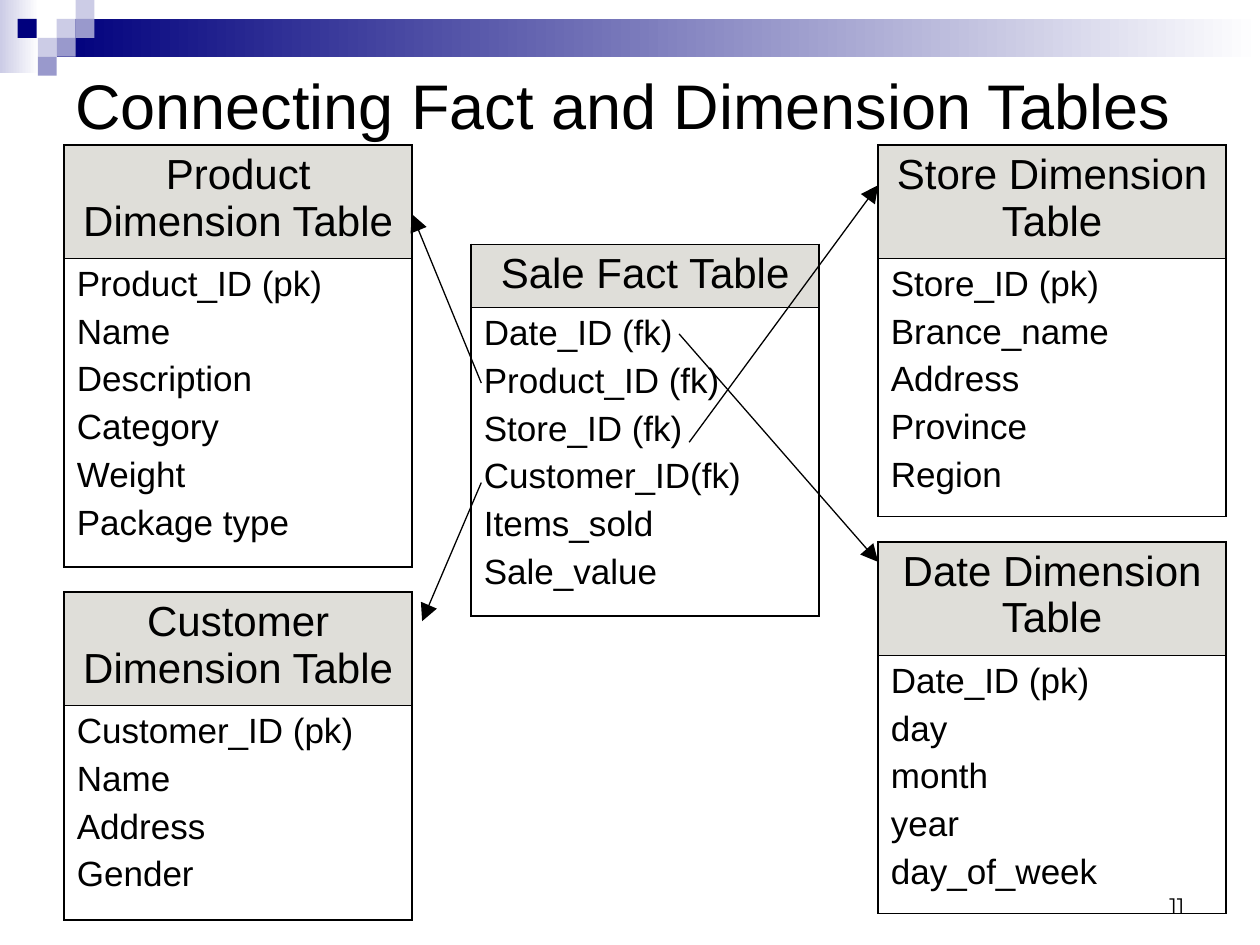
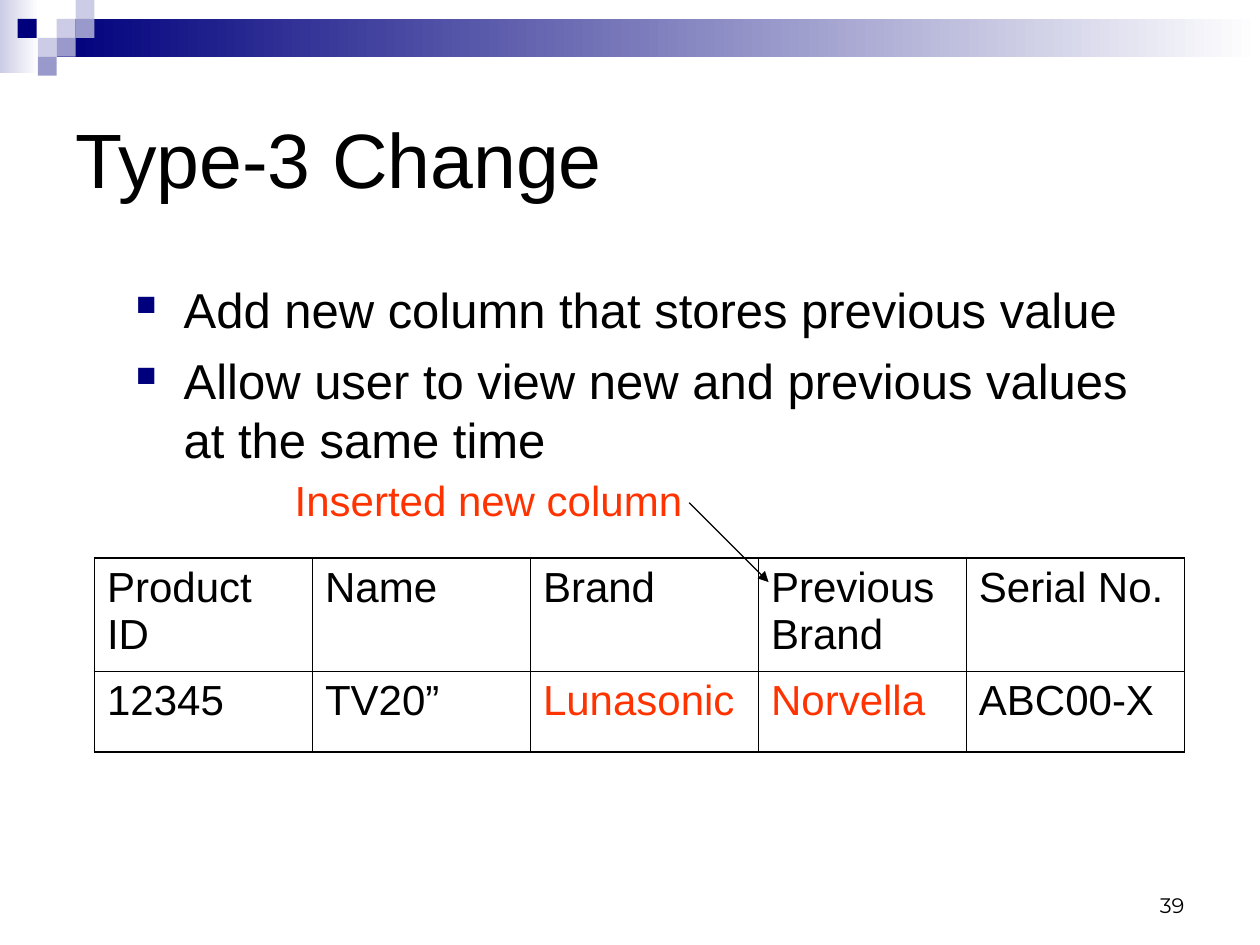
from lxml.etree import SubElement
from pptx import Presentation
from pptx.dml.color import RGBColor
from pptx.enum.shapes import MSO_CONNECTOR as Connector, MSO_SHAPE as Shape
from pptx.enum.text import MSO_ANCHOR as Anchor, PP_ALIGN as Align
from pptx.oxml.ns import qn
from pptx.util import Inches, Pt

COLORS = {
    "ink": "000000",
    "paper": "FFFFFF",
    "navy": "00007D",
    "lilac": "9999CC",
    "mist": "CCCCE6",
    "header": "DFDED9",
    "accent": "FF3300",
}
COLUMNS, ROWS = 100, 75
SQUARE = 1.5
THICK, THIN = 1.08, 0.45

# Small corner squares: column, row, colour
CORNER_SQUARES = [
    (4.5, 1.5, "mist"),
    (6, 0, "mist"),
    (6, 1.5, "lilac"),
    (3, 3, "mist"),
    (1.4, 1.5, "navy"),
    (4.5, 3, "lilac"),
    (3, 4.5, "lilac"),
]

# Entity tables: column, row, heading, header height, fields height, fields
ENTITY_WIDTH = 27.6
ENTITIES = [
    (37.4, 19.4, "Sale Fact Table", 5, 24.5,
     "Date_ID (fk)\nProduct_ID (fk)\nStore_ID (fk)\nCustomer_ID(fk)\nItems_sold\nSale_value"),
    (5.1, 11.5, "Product Dimension Table", 9, 24.5,
     "Product_ID (pk)\nName\nDescription\nCategory\nWeight\nPackage type"),
    (5.1, 47, "Customer Dimension Table", 9, 17,
     "Customer_ID (pk)\nName\nAddress\nGender"),
    (69.7, 11.5, "Store Dimension Table", 9, 20.5,
     "Store_ID (pk)\nBrance_name\nAddress\nProvince\nRegion"),
    (69.7, 43, "Date Dimension Table", 9, 20.5,
     "Date_ID (pk)\nday\nmonth\nyear\nday_of_week"),
]
KEY_ARROWS = [
    ((53.9, 26.5), (69.7, 44.6)),
    ((38.2, 30.4), (32.7, 17)),
    ((38.2, 38.3), (33.5, 49.3)),
    ((54.7, 35.1), (69.7, 14.7)),
]


def rgb(name):
    return RGBColor.from_string(COLORS[name])


def add_bullet(para):
    """Give the paragraph a navy square bullet with a hanging indent."""
    props = para._p.get_or_add_pPr()
    indent = Inches(0.38)
    props.set("marL", str(indent))
    props.set("indent", str(-indent))
    color = SubElement(props, qn("a:buClr"))
    SubElement(color, qn("a:srgbClr"), val=COLORS["navy"])
    SubElement(props, qn("a:buSzPct"), val="57000")
    SubElement(props, qn("a:buChar"), char="■")


def write(frame, text, size=24, color="ink", font="Arial", align=Align.LEFT,
          gap=0, bullet=False):
    """Fill a text frame, one paragraph per line, with gap points between them."""
    for index, line in enumerate(text.split("\n")):
        para = frame.add_paragraph() if index else frame.paragraphs[0]
        if bullet:
            add_bullet(para)
        para.alignment = align
        para.space_before = Pt(gap if index else 0)
        span = para.add_run()
        span.text = line
        span.font.size = Pt(size)
        span.font.name = font
        span.font.color.rgb = rgb(color)


def set_borders(cell, **widths):
    """Draw the cell's edges; widths maps L, R, T and B to points."""
    props = cell._tc.get_or_add_tcPr()
    for side in "LRTB":
        line = SubElement(props, qn(f"a:ln{side}"), w=str(Pt(widths[side])))
        fill = SubElement(line, qn("a:solidFill"))
        SubElement(fill, qn("a:srgbClr"), val=COLORS["ink"])


class Deck:
    """Holds the shared style and the slide being built."""

    def __init__(self):
        self.file = Presentation()
        self.file.slide_width, self.file.slide_height = Inches(10), Inches(7.5)
        self.page = None

    def col(self, count):
        return round(self.file.slide_width * count / COLUMNS)

    def row(self, count):
        return round(self.file.slide_height * count / ROWS)

    def area(self, left, top, width, height):
        return self.col(left), self.row(top), self.col(width), self.row(height)

    def new_page(self, title, title_area, title_size, number):
        self.page = self.file.slides.add_slide(self.file.slide_layouts[6])
        self.band()
        self.text(number, (71.7, 68.3, 23.3, 5), anchor=Anchor.BOTTOM,
                  size=12, font="Montserrat", align=Align.RIGHT)
        self.text(title, title_area, anchor=Anchor.MIDDLE, size=title_size)

    def band(self):
        group = self.page.shapes.add_group_shape()
        self.block(group, (0, 0, 3.1, 5.8), "mist", fade_to="paper")
        self.block(group, (4.5, 1.5, 95.5, 3), "navy", fade_to="paper")
        for left, top, color in CORNER_SQUARES:
            self.block(group, (left, top, SQUARE, SQUARE), color)

    def block(self, group, area, color, fade_to=None):
        box = group.shapes.add_shape(Shape.RECTANGLE, *self.area(*area))
        box.shadow.inherit = False
        box.line.fill.background()
        if fade_to:
            box.fill.gradient()
            box.fill.gradient_angle = 0
            for stop, name in zip(box.fill.gradient_stops, (color, fade_to)):
                stop.color.rgb = rgb(name)
        else:
            box.fill.solid()
            box.fill.fore_color.rgb = rgb(color)

    def text(self, text, area, anchor=Anchor.TOP, **style):
        frame = self.page.shapes.add_textbox(*self.area(*area)).text_frame
        frame.word_wrap = True
        frame.vertical_anchor = anchor
        write(frame, text, **style)

    def table(self, left, top, widths, heights, cells):
        """Add a table; cells holds rows of (text, fill, style)."""
        area = self.area(left, top, sum(widths), sum(heights))
        table = self.page.shapes.add_table(len(heights), len(widths), *area).table
        table.first_row = table.horz_banding = False
        for column, width in zip(table.columns, widths):
            column.width = self.col(width)
        for line, height in zip(table.rows, heights):
            line.height = self.row(height)
        last_row, last_col = len(heights) - 1, len(widths) - 1
        for r, line in enumerate(cells):
            for c, (text, fill, style) in enumerate(line):
                cell = table.cell(r, c)
                set_borders(cell,
                            L=THIN if c else THICK,
                            R=THIN if c < last_col else THICK,
                            T=THIN if r else THICK,
                            B=THIN if r < last_row else THICK)
                if fill:
                    cell.fill.solid()
                    cell.fill.fore_color.rgb = rgb(fill)
                else:
                    cell.fill.background()
                write(cell.text_frame, text, **style)

    def arrow(self, start, end, head="med"):
        line = self.page.shapes.add_connector(
            Connector.STRAIGHT, self.col(start[0]), self.row(start[1]),
            self.col(end[0]), self.row(end[1]))
        line.line.color.rgb = rgb("ink")
        line.line.width = Pt(0.75)
        SubElement(line.line._get_or_add_ln(), qn("a:tailEnd"),
                   type="triangle", w=head, len=head)
        SubElement(line._element.spPr, qn("a:effectLst"))


def build_star_schema(deck):
    deck.new_page("Connecting Fact and Dimension Tables", (5, 3.6, 90, 9.4), 36, "11")
    for left, top, heading, header_height, fields_height, fields in ENTITIES:
        deck.table(left, top, [ENTITY_WIDTH], [header_height, fields_height], [
            [(heading, "header", {"align": Align.CENTER})],
            [(fields, None, {"size": 20, "gap": 5})],
        ])
    for start, end in KEY_ARROWS:
        deck.arrow(start, end, head="lg")


def build_type_3_change(deck):
    deck.new_page("Type-3 Change", (5, 5, 90, 15), 44, "39")
    deck.text("Add new column that stores previous value\n"
              "Allow user to view new and previous values at the same time",
              (9.8, 21.7, 81.9, 42.5), size=28, gap=7, bullet=True)
    headings = ["Product ID", "Name", "Brand", "Previous Brand", "Serial No."]
    values = ["12345", "TV20”", "Lunasonic", "Norvella", "ABC00-X"]
    changed = {"Lunasonic", "Norvella"}
    cells = [[(text, None, {"color": "accent" if text in changed else "ink"})
              for text in line] for line in (headings, values)]
    deck.table(7.5, 44.3, [17.3, 17.3, 18.1, 16.5, 17.3], [9, 6.4], cells)
    deck.arrow((54.7, 39.9), (61, 46.2))
    deck.text("Inserted new column", (22.4, 37.2, 33.9, 5), color="accent")


def main():
    deck = Deck()
    build_star_schema(deck)
    build_type_3_change(deck)
    deck.file.save("out.pptx")


if __name__ == "__main__":
    main()
